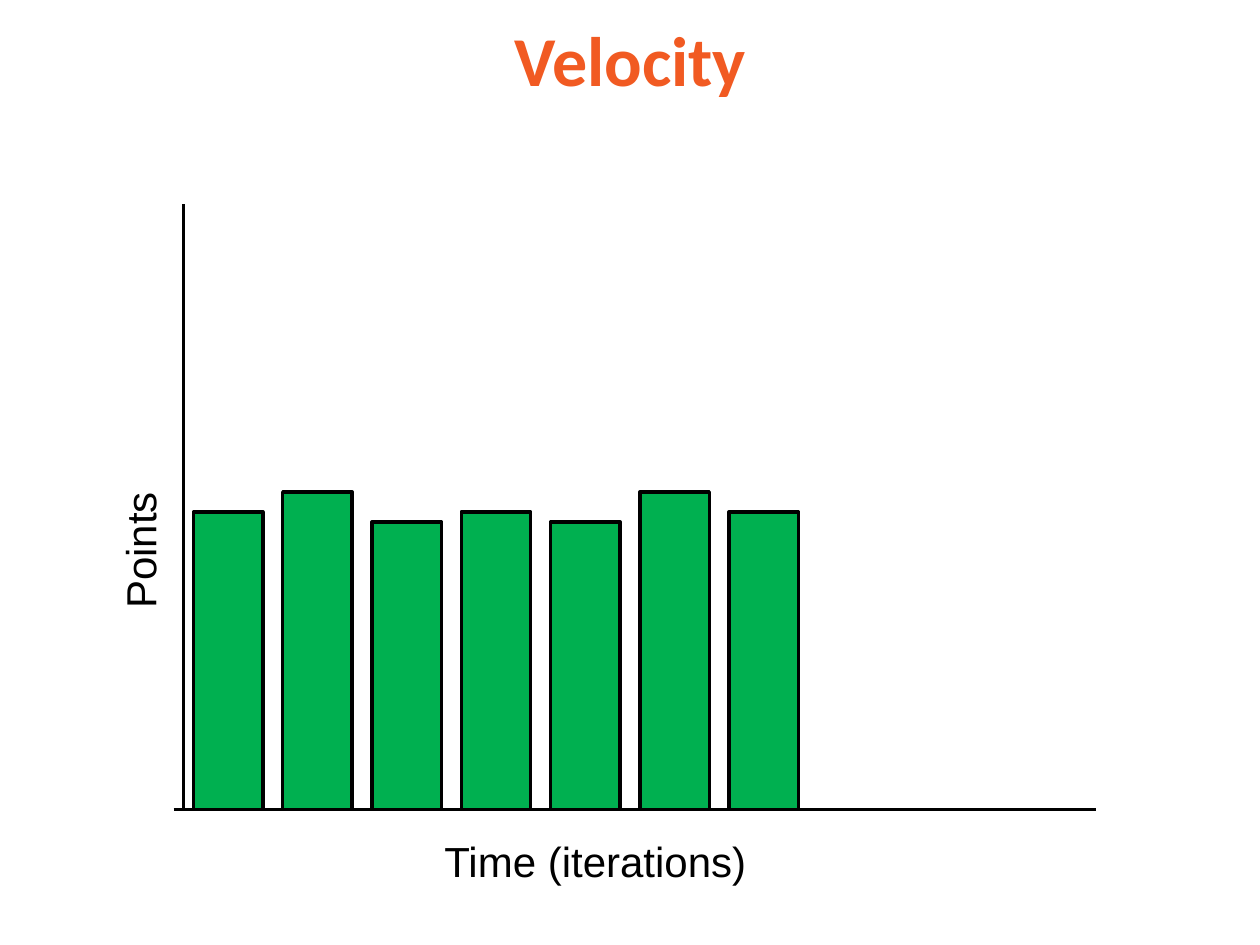
"""Build the velocity slide: a bar for each iteration on two plain axes."""
from dataclasses import dataclass

from lxml import etree
from pptx import Presentation
from pptx.dml.color import RGBColor
from pptx.enum.shapes import MSO_CONNECTOR, MSO_SHAPE
from pptx.enum.text import MSO_ANCHOR, MSO_AUTO_SIZE, PP_ALIGN
from pptx.oxml.ns import qn
from pptx.slide import Slide
from pptx.util import Cm, Pt

LINE = MSO_CONNECTOR.STRAIGHT
RECT = MSO_SHAPE.RECTANGLE
MIDDLE = MSO_ANCHOR.MIDDLE
GROW = MSO_AUTO_SIZE.SHAPE_TO_FIT_TEXT
CENTER = PP_ALIGN.CENTER

COLORS = {"title": "F15A22", "bar": "00B050", "ink": "000000"}
BASE = 16.32
FIRST = 3.9
STEP = 1.8
WIDTH = 1.4
POINTS = (6, 6.4, 5.8, 6, 5.8, 6.4, 6)


@dataclass
class Axis:
    x1: float
    y1: float
    x2: float
    y2: float


@dataclass
class Label:
    text: str
    left: float
    top: float
    width: float
    turn: int = 0


AXES = (Axis(3.7, 4.12, 3.7, BASE), Axis(3.5, BASE, 22.1, BASE))
LABELS = (
    Label("Points", 0.91, 9.98, 3.81, 270),
    Label("Time (iterations)", 8.71, 16.72, 7.01),
)


def color(name: str) -> RGBColor:
    return RGBColor.from_string(COLORS[name])


def add_title(slide: Slide, text: str) -> None:
    title = slide.shapes.title
    title.left, title.top = Cm(1.02), Cm(0)
    title.width, title.height = Cm(23.37), Cm(2.34)
    frame = title.text_frame
    frame.text = text
    frame.vertical_anchor = MIDDLE
    frame.margin_left = frame.margin_right = Cm(0.08)
    frame.margin_top = frame.margin_bottom = Cm(0.08)
    para = frame.paragraphs[0]
    para.alignment = CENTER
    para.font.name, para.font.size, para.font.bold = "Calibri", Pt(40), True
    para.font.color.rgb = color("title")


def add_axis(slide: Slide, axis: Axis) -> None:
    ends = map(Cm, (axis.x1, axis.y1, axis.x2, axis.y2))
    line = slide.shapes.add_connector(LINE, *ends)
    line.line.color.rgb = color("ink")
    line.line.width = Pt(2)
    etree.SubElement(line._element.spPr, qn("a:effectLst"))


def add_bar(slide: Slide, index: int, height: float) -> None:
    left = FIRST + index * STEP
    box = map(Cm, (left, BASE - height, WIDTH, height))
    bar = slide.shapes.add_shape(RECT, *box)
    bar.shadow.inherit = False
    bar.fill.solid()
    bar.fill.fore_color.rgb = color("bar")
    bar.line.color.rgb = color("ink")
    bar.line.width = Pt(2)


def add_label(slide: Slide, label: Label) -> None:
    place = map(Cm, (label.left, label.top, label.width, 1.27))
    box = slide.shapes.add_textbox(*place)
    box.rotation = label.turn
    frame = box.text_frame
    frame.word_wrap = True
    frame.auto_size = GROW
    frame.text = label.text
    font = frame.paragraphs[0].font
    font.name, font.size = "Arial", Pt(24)
    font.color.rgb = color("ink")


def main() -> None:
    deck = Presentation()
    deck.slide_width, deck.slide_height = Cm(25.4), Cm(19.05)
    slide = deck.slides.add_slide(deck.slide_layouts[5])
    add_title(slide, "Velocity")
    for axis in AXES:
        add_axis(slide, axis)
    for index, height in enumerate(POINTS):
        add_bar(slide, index, height)
    for label in LABELS:
        add_label(slide, label)
    deck.save("out.pptx")


if __name__ == "__main__":
    main()
